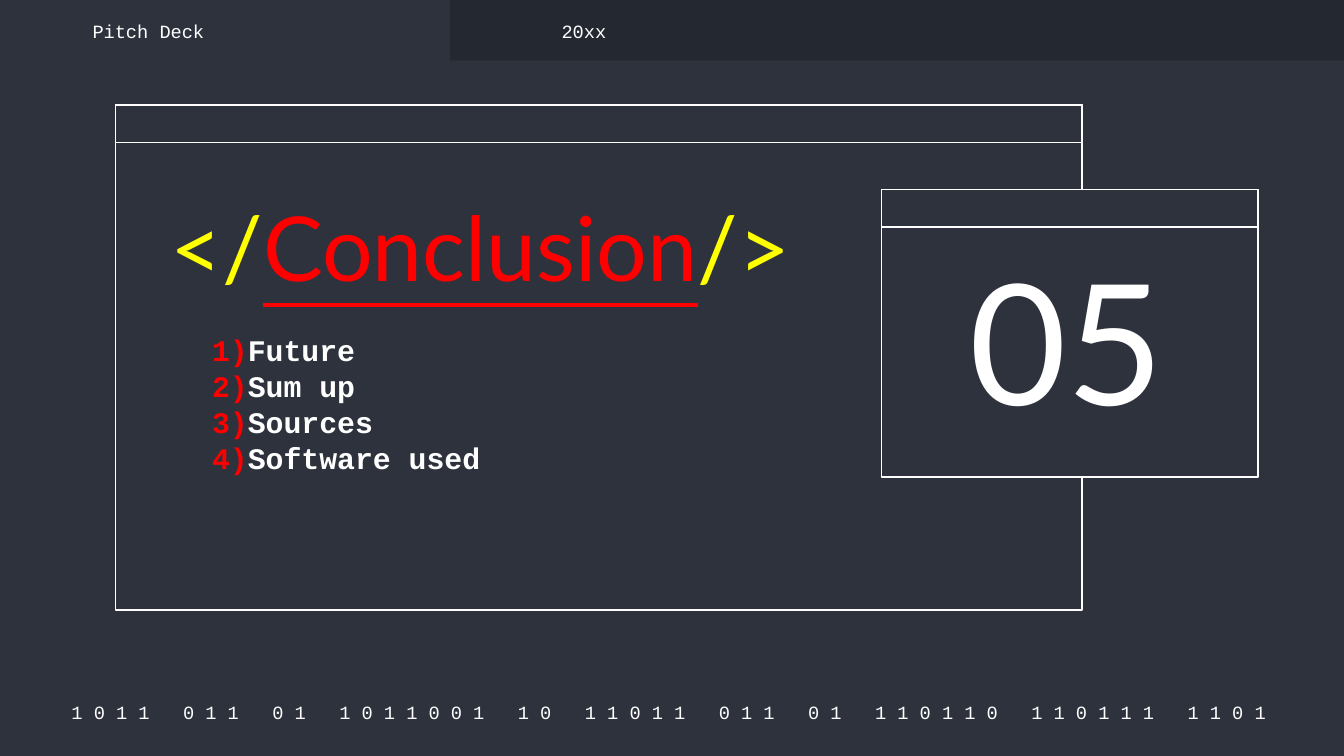
from dataclasses import dataclass

from pptx import Presentation
from pptx.dml.color import RGBColor
from pptx.enum.shapes import MSO_SHAPE
from pptx.enum.text import MSO_ANCHOR, MSO_AUTO_SIZE, PP_ALIGN
from pptx.shapes.autoshape import Shape
from pptx.slide import Slide
from pptx.text.text import TextFrame, _Paragraph as Paragraph
from pptx.util import Inches, Pt

BACKGROUND = "2D323C"
HEADER = "242830"
WHITE = "FFFFFF"
RED = "FF0000"
YELLOW = "FFFF00"
CODE_FONT = "Courier New"
TITLE_FONT = "Lato"
TITLE_BAR_HEIGHT = 0.28

BIT_GROUPS = "1011 011 01 1011001 10 11011 011 01 110110 110111 1101"
TOPICS = ["Future", "Sum up", "Sources", "Software used"]


@dataclass(frozen=True)
class Box:
    left: float
    top: float
    width: float
    height: float


@dataclass(frozen=True)
class Label:
    text: str
    box: Box
    size: float = 10
    font: str = CODE_FONT
    alignment: PP_ALIGN = PP_ALIGN.LEFT
    anchor: MSO_ANCHOR = MSO_ANCHOR.MIDDLE


WINDOWS = [Box(0.86, 0.78, 7.19, 3.76), Box(6.56, 1.41, 2.8, 2.14)]
LABELS = [
    Label("   ".join(" ".join(group) for group in BIT_GROUPS.split()) + " ",
          Box(0.38, 5.2, 9.27, 0.2), alignment=PP_ALIGN.CENTER),
    Label("05", Box(6.72, 1.72, 2.43, 1.65), 90, TITLE_FONT,
          PP_ALIGN.CENTER, MSO_ANCHOR.BOTTOM),
    Label("Pitch Deck", Box(0.59, 0.13, 2.19, 0.2)),
    Label("20xx", Box(4.08, 0.13, 2.19, 0.2)),
]


def color(value: str) -> RGBColor:
    return RGBColor.from_string(value)


def lengths(box: Box) -> tuple:
    return tuple(Inches(n) for n in (box.left, box.top, box.width, box.height))


def add_rectangle(slide: Slide, box: Box, fill: str, line: str = "") -> Shape:
    shape = slide.shapes.add_shape(MSO_SHAPE.RECTANGLE, *lengths(box))
    shape.shadow.inherit = False
    shape.fill.solid()
    shape.fill.fore_color.rgb = color(fill)
    if line:
        shape.line.color.rgb = color(line)
        shape.line.width = Pt(0.75)
    else:
        shape.line.fill.background()
    return shape


def add_window(slide: Slide, box: Box) -> None:
    """Draw a window outline with a title bar along its top."""
    bar = Box(box.left, box.top, box.width, TITLE_BAR_HEIGHT)
    for part in (box, bar):
        add_rectangle(slide, part, BACKGROUND, WHITE)


def add_run(paragraph: Paragraph, text: str, font: str, size: float,
            fill: str, bold: bool = False, underline: bool = False) -> None:
    run = paragraph.add_run()
    run.text = text
    run.font.name = font
    run.font.size = Pt(size)
    run.font.color.rgb = color(fill)
    run.font.bold = bold
    run.font.underline = underline


def format_frame(frame: TextFrame, anchor: MSO_ANCHOR,
                 vertical_inset: float = 0.1) -> None:
    frame.word_wrap = True
    frame.auto_size = MSO_AUTO_SIZE.NONE
    frame.vertical_anchor = anchor
    frame.margin_left = frame.margin_right = Inches(0.1)
    frame.margin_top = frame.margin_bottom = Inches(vertical_inset)


def add_label(slide: Slide, label: Label) -> None:
    frame = slide.shapes.add_textbox(*lengths(label.box)).text_frame
    format_frame(frame, label.anchor)
    paragraph = frame.paragraphs[0]
    paragraph.alignment = label.alignment
    add_run(paragraph, label.text, label.font, label.size, WHITE)


def set_title(slide: Slide, box: Box) -> None:
    """Fill the title placeholder and bring it in front of the windows."""
    title = slide.shapes.title
    title.left, title.top, title.width, title.height = lengths(box)
    format_frame(title.text_frame, MSO_ANCHOR.TOP)
    paragraph = title.text_frame.paragraphs[0]
    paragraph.alignment = PP_ALIGN.LEFT
    add_run(paragraph, "</", TITLE_FONT, 48, YELLOW)
    add_run(paragraph, "Conclusion", TITLE_FONT, 48, RED, underline=True)
    add_run(paragraph, "/>", TITLE_FONT, 48, YELLOW)
    slide.shapes.element.append(title.element)


def add_topics(slide: Slide, box: Box) -> None:
    frame = slide.shapes.add_textbox(*lengths(box)).text_frame
    format_frame(frame, MSO_ANCHOR.TOP, 0.05)
    frame.auto_size = MSO_AUTO_SIZE.SHAPE_TO_FIT_TEXT
    for number, topic in enumerate(TOPICS, start=1):
        paragraph = frame.paragraphs[0] if number == 1 else frame.add_paragraph()
        add_run(paragraph, f"{number})", CODE_FONT, 16, RED, bold=True)
        add_run(paragraph, topic, CODE_FONT, 16, WHITE, bold=True)


def main() -> None:
    presentation = Presentation()
    presentation.slide_width = Inches(10)
    presentation.slide_height = Inches(10 * 9 / 16)
    slide = presentation.slides.add_slide(presentation.slide_layouts[5])
    slide.background.fill.solid()
    slide.background.fill.fore_color.rgb = color(BACKGROUND)

    add_rectangle(slide, Box(3.35, 0, 6.65, 0.45), HEADER)
    for window in WINDOWS:
        add_window(slide, window)
    set_title(slide, Box(1.17, 1.33, 5.19, 0.9))
    for label in LABELS:
        add_label(slide, label)
    add_topics(slide, Box(1.48, 2.42, 4.61, 1.18))

    presentation.save("out.pptx")


if __name__ == "__main__":
    main()
